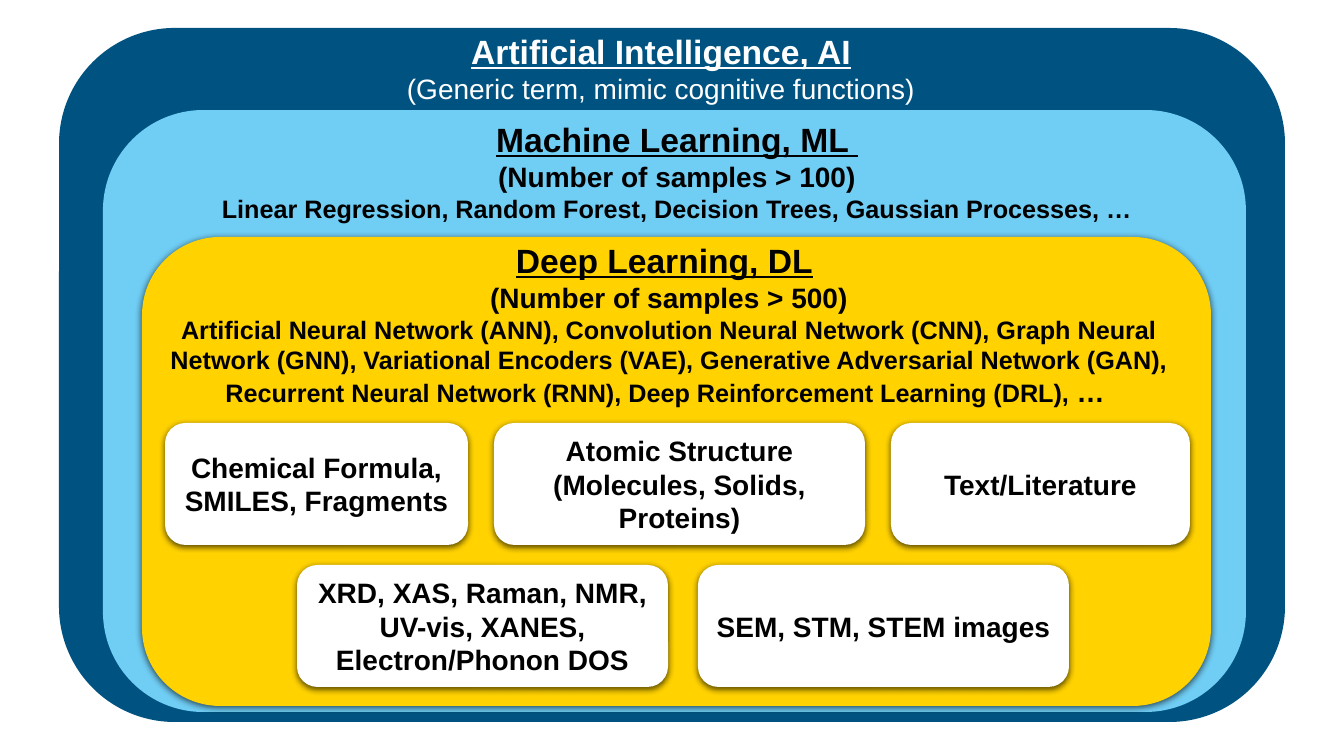
from lxml import etree
from pptx import Presentation
from pptx.dml.color import RGBColor
from pptx.enum.shapes import MSO_SHAPE
from pptx.enum.text import MSO_ANCHOR, MSO_AUTO_SIZE, PP_ALIGN
from pptx.oxml.ns import qn
from pptx.util import Pt

ROUND = MSO_SHAPE.ROUNDED_RECTANGLE
TOP, MIDDLE = MSO_ANCHOR.TOP, MSO_ANCHOR.MIDDLE
NO_FIT = MSO_AUTO_SIZE.NONE
CENTER = PP_ALIGN.CENTER
PX = 914400 / 100.8

HEAD = (24, True, True)
NOTE = (20, False, False)
STRONG = (20, True, False)
METHODS = (18, True, False)

LAYERS = [
    {"box": (59, 28, 1226, 694), "fill": "005381", "shadow": False,
     "text_box": (294, 26, 734, 85), "color": "FFFFFF",
     "lines": [[("Artificial Intelligence, AI", HEAD)],
               [("(Generic term, mimic cognitive functions)", NOTE)]]},
    {"box": (103, 110, 1143, 602), "fill": "70CDF4", "shadow": False,
     "text_box": (121, 114, 1112, 115), "color": "000000",
     "lines": [[("Machine Learning, ML ", HEAD)],
               [("(Number of samples > 100)", STRONG)],
               [("Linear Regression, Random Forest, Decision Trees, "
                 "Gaussian Processes, …", METHODS)]]},
    {"box": (142, 237, 1069, 469), "fill": "FFD200", "shadow": True,
     "text_box": (127, 235, 1084, 179), "color": "000000",
     "lines": [[("Deep Learning, DL", HEAD), (" ", (24, True, False))],
               [("(Number of samples > 500)", STRONG)],
               [("Artificial Neural Network (ANN), Convolution Neural Network (CNN), "
                 "Graph Neural Network (GNN), Variational Encoders (VAE), "
                 "Generative Adversarial Network (GAN), Recurrent Neural Network (RNN), "
                 "Deep Reinforcement Learning (DRL), ", METHODS), ("… ", STRONG)]]},
]

CARD_TOP, CARD_H, ROW_STEP = 423, 122, 142
CARD_ROWS = [
    {"left": 165, "gap": 26,
     "cards": [("Chemical Formula, SMILES, Fragments", 303),
               ("Atomic Structure (Molecules, Solids, Proteins)", 371),
               ("Text/Literature", 299)]},
    {"left": 297, "gap": 30,
     "cards": [("XRD, XAS, Raman, NMR, UV-vis, XANES, Electron/Phonon DOS", 371),
               ("SEM, STM, STEM images", 371)]},
]


def rgb(value):
    return RGBColor.from_string(value)


def emu(box):
    return [round(v * PX) for v in box]


def add_round(box, fill, shadow):
    sp = s.shapes.add_shape(ROUND, *emu(box))
    sp.fill.solid()
    sp.fill.fore_color.rgb = rgb(fill)
    sp.line.fill.background()
    sp.shadow.inherit = False
    if shadow:
        effects = sp.element.spPr.find(qn("a:effectLst"))
        outer = etree.SubElement(effects, qn("a:outerShdw"), blurRad="57150",
                                 dist="19050", dir="5400000", algn="ctr", rotWithShape="0")
        color = etree.SubElement(outer, qn("a:srgbClr"), val="000000")
        etree.SubElement(color, qn("a:alpha"), val="63000")
    return sp


def write(sp, lines, color, anchor):
    tf = sp.text_frame
    tf.word_wrap = True
    tf.auto_size = NO_FIT
    tf.vertical_anchor = anchor
    for i, line in enumerate(lines):
        p = tf.add_paragraph() if i else tf.paragraphs[0]
        p.alignment = CENTER
        for text, (size, bold, underline) in line:
            r = p.add_run()
            r.text = text
            r.font.name = "Arial"
            r.font.size = Pt(size)
            r.font.bold = bold
            r.font.underline = underline
            r.font.color.rgb = rgb(color)


prs = Presentation()
prs.slide_width, prs.slide_height = emu((1344, 756))
s = prs.slides.add_slide(prs.slide_layouts[5])
title = s.shapes.title

for i, layer in enumerate(LAYERS):
    add_round(layer["box"], layer["fill"], layer["shadow"])
    place = emu(layer["text_box"])
    if i == 0:
        sp = title
        sp.left, sp.top, sp.width, sp.height = place
        sp.element.getparent().append(sp.element)
    else:
        sp = s.shapes.add_textbox(*place)
    write(sp, layer["lines"], layer["color"], TOP)

for i, row in enumerate(CARD_ROWS):
    x = row["left"]
    for text, width in row["cards"]:
        card = add_round((x, CARD_TOP + i * ROW_STEP, width, CARD_H), "FFFFFF", True)
        write(card, [[(text, STRONG)]], "000000", MIDDLE)
        x += width + row["gap"]

prs.save("out.pptx")
